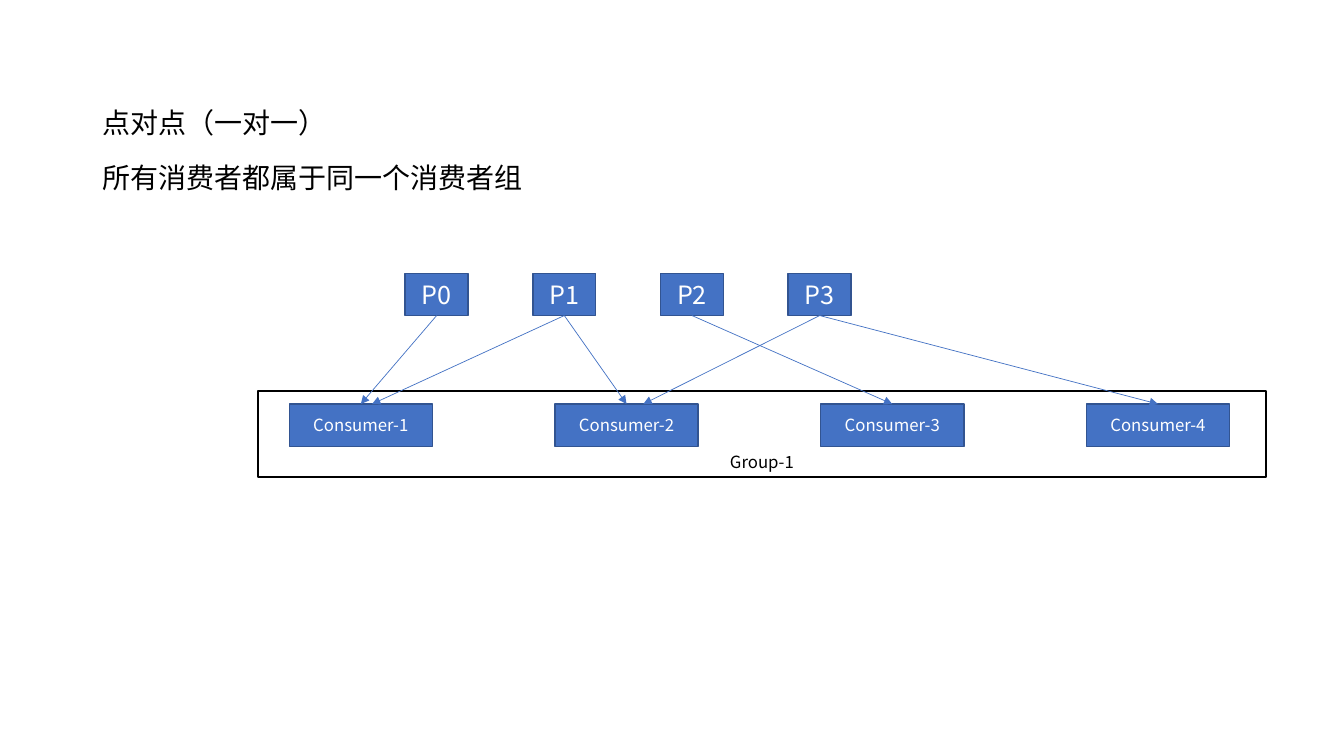
from dataclasses import dataclass

from lxml.etree import SubElement
from pptx import Presentation
from pptx.dml.color import RGBColor
from pptx.enum.shapes import MSO_CONNECTOR, MSO_SHAPE
from pptx.enum.text import MSO_ANCHOR, PP_ALIGN
from pptx.oxml.ns import qn
from pptx.shapes.autoshape import Shape
from pptx.slide import Slide
from pptx.text.text import TextFrame
from pptx.util import Pt

FONT = "Noto Sans CJK SC"
COLORS = {"blue": "4472C4", "edge": "325491", "black": "000000", "white": "FFFFFF"}


@dataclass
class Box:
    text: str
    left: float
    top: float
    width: float
    height: float
    size: float
    fill: str = "blue"
    line: str = "edge"
    color: str = "white"
    anchor: MSO_ANCHOR = MSO_ANCHOR.MIDDLE


@dataclass
class Arrow:
    partition: int
    consumer: int
    offset: float = 0  # distance of the tip from the consumer's middle


TITLE_LINES = ["点对点（一对一）", "所有消费者都属于同一个消费者组"]
GROUP = Box("Group-1", 184.3, 279.4, 720, 61.2, 12, "white", "black", "black",
            MSO_ANCHOR.BOTTOM)
PARTITIONS = [Box(f"P{i}", 289.4 + 91.2 * i, 195.2, 45, 30.2, 18) for i in range(4)]
CONSUMERS = [Box(f"Consumer-{i + 1}", 206.6 + 189.8 * i, 288.6, 102.3, 30.2, 12)
             for i in range(4)]
ARROWS = [Arrow(0, 0), Arrow(1, 0, 8), Arrow(1, 1), Arrow(2, 2),
          Arrow(3, 1, 12), Arrow(3, 3)]


def color_of(name: str) -> RGBColor:
    return RGBColor.from_string(COLORS[name])


def write_text(frame: TextFrame, lines: list[str], *, size: float, color: str,
               align: PP_ALIGN = PP_ALIGN.CENTER, anchor: MSO_ANCHOR = MSO_ANCHOR.MIDDLE,
               line_spacing: float = 1.0, gap: float = 0) -> None:
    frame.word_wrap = True
    frame.vertical_anchor = anchor
    for index, line in enumerate(lines):
        paragraph = frame.add_paragraph() if index else frame.paragraphs[0]
        paragraph.alignment = align
        paragraph.line_spacing = line_spacing
        paragraph.space_before = Pt(gap if index else 0)
        run = paragraph.add_run()
        run.text = line
        run.font.size = Pt(size)
        run.font.color.rgb = color_of(color)
        run.font.name = FONT
        SubElement(run.font._element, qn("a:ea"), typeface=FONT)


def draw_box(slide: Slide, box: Box) -> Shape:
    shape = slide.shapes.add_shape(MSO_SHAPE.RECTANGLE, Pt(box.left), Pt(box.top),
                                   Pt(box.width), Pt(box.height))
    shape.shadow.inherit = False
    shape.fill.solid()
    shape.fill.fore_color.rgb = color_of(box.fill)
    shape.line.color.rgb = color_of(box.line)
    shape.line.width = Pt(1)
    write_text(shape.text_frame, [box.text], size=box.size, color=box.color,
               anchor=box.anchor)
    return shape


def draw_arrow(slide: Slide, arrow: Arrow, partition: Shape, consumer: Shape) -> None:
    tip = consumer.left + consumer.width // 2 + Pt(arrow.offset)
    connector = slide.shapes.add_connector(MSO_CONNECTOR.STRAIGHT, 0, 0, tip, consumer.top)
    connector.begin_connect(partition, 2)
    if not arrow.offset:
        connector.end_connect(consumer, 0)
    connector.line.color.rgb = color_of("blue")
    connector.line.width = Pt(0.5)
    SubElement(connector.line._get_or_add_ln(), qn("a:tailEnd"), type="triangle")
    SubElement(connector._element.spPr, qn("a:effectLst"))


def main() -> None:
    presentation = Presentation()
    presentation.slide_width, presentation.slide_height = Pt(960), Pt(540)
    slide = presentation.slides.add_slide(presentation.slide_layouts[6])

    # Heading
    heading = slide.shapes.add_textbox(Pt(66), Pt(28.8), Pt(828), Pt(159))
    write_text(heading.text_frame, TITLE_LINES, size=20, color="black",
               align=PP_ALIGN.LEFT, line_spacing=0.9, gap=17.5)

    # Partitions above the consumer group
    partitions = [draw_box(slide, box) for box in PARTITIONS]
    draw_box(slide, GROUP)
    consumers = [draw_box(slide, box) for box in CONSUMERS]

    # Which consumer reads which partition
    for arrow in ARROWS:
        draw_arrow(slide, arrow, partitions[arrow.partition], consumers[arrow.consumer])

    presentation.save("out.pptx")


if __name__ == "__main__":
    main()
